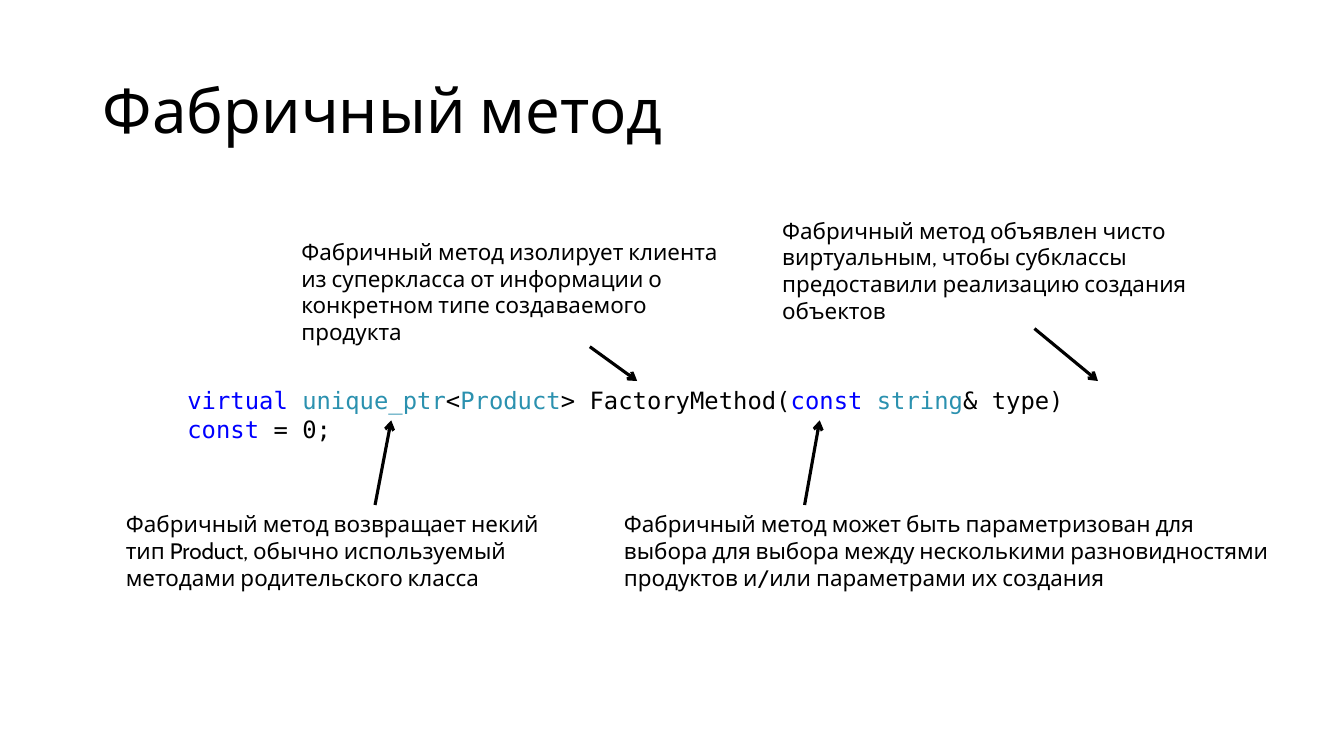
"""Builds a slide that explains the signature of a factory method."""
from dataclasses import dataclass

from lxml.etree import SubElement
from pptx import Presentation
from pptx.dml.color import RGBColor
from pptx.enum.shapes import MSO_CONNECTOR
from pptx.enum.text import MSO_ANCHOR, MSO_AUTO_SIZE
from pptx.oxml.ns import qn
from pptx.util import Inches, Pt

COLORS = {"text": "000000", "keyword": "0000FF", "type": "2B91AF"}
SANS = "Cabin"
MONO = "DejaVu Sans Mono"
Point = tuple[float, float]
Box = tuple[float, float, float, float]
Runs = list[tuple[str, str]]


@dataclass(frozen=True)
class Note:
    """A remark and the arrow that leads from it to the code."""
    text: str
    box: Box
    start: Point
    end: Point


CODE: Runs = [
    ("virtual ", "keyword"),
    ("unique_ptr", "type"),
    ("<", "text"),
    ("Product", "type"),
    ("> FactoryMethod(", "text"),
    ("const ", "keyword"),
    ("string", "type"),
    ("& type) ", "text"),
    ("const", "keyword"),
    (" = 0;", "text"),
]

NOTES = [
    Note("Фабричный метод возвращает некий тип Product, обычно используемый "
         "методами родительского класса",
         (1.15, 5.01, 4.39, 0.91), (3.72, 5.01), (3.88, 4.17)),
    Note("Фабричный метод изолирует клиента из суперкласса от информации "
         "о конкретном типе создаваемого продукта",
         (2.89, 2.31, 4.39, 0.91), (5.85, 3.44), (6.32, 3.78)),
    Note("Фабричный метод может быть параметризован для выбора для выбора "
         "между несколькими разновидностями продуктов и/или параметрами "
         "их создания",
         (6.09, 5.01, 6.69, 0.91), (7.98, 5.01), (8.13, 4.17)),
    Note("Фабричный метод объявлен чисто виртуальным, чтобы субклассы "
         "предоставили реализацию создания объектов",
         (7.66, 2.1, 5.12, 0.91), (10.26, 3.26), (10.89, 3.78)),
]


def add_text(shapes, text: str | Runs, box: Box, *, size: float = 16,
             font: str = SANS, anchor: MSO_ANCHOR = MSO_ANCHOR.TOP,
             grow: bool = True, spacing: float = 1.0) -> None:
    """Add a wrapped text box holding plain text or coloured runs."""
    frame = shapes.add_textbox(*map(Inches, box)).text_frame
    frame.word_wrap = True
    frame.vertical_anchor = anchor
    frame.auto_size = (MSO_AUTO_SIZE.SHAPE_TO_FIT_TEXT if grow
                       else MSO_AUTO_SIZE.NONE)
    line = frame.paragraphs[0]
    line.line_spacing = spacing
    for part, color in [(text, "text")] if isinstance(text, str) else text:
        run = line.add_run()
        run.text = part
        run.font.size = Pt(size)
        run.font.name = font
        run.font.color.rgb = RGBColor.from_string(COLORS[color])


def add_arrow(shapes, start: Point, end: Point) -> None:
    """Draw a straight arrow with an open head at its end."""
    arrow = shapes.add_connector(MSO_CONNECTOR.STRAIGHT,
                                 *map(Inches, start + end))
    arrow.line.width = Pt(2.25)
    arrow.line.color.rgb = RGBColor.from_string(COLORS["text"])
    SubElement(arrow.line._get_or_add_ln(), qn("a:tailEnd"), type="arrow")
    SubElement(arrow._element.spPr, qn("a:effectLst"))


def add_note(shapes, note: Note) -> None:
    """Group a remark with its arrow."""
    group = shapes.add_group_shape()
    add_text(group.shapes, note.text, note.box)
    add_arrow(group.shapes, note.start, note.end)


def main() -> None:
    """Build and save the slide."""
    deck = Presentation()
    deck.slide_width = Inches(13.33)
    deck.slide_height = Inches(7.5)
    shapes = deck.slides.add_slide(deck.slide_layouts[6]).shapes
    add_text(shapes, "Фабричный метод", (0.92, 0.4, 11.5, 1.45), size=44,
             anchor=MSO_ANCHOR.MIDDLE, grow=False, spacing=0.9)
    add_text(shapes, CODE, (1.76, 3.78, 9.69, 0.39), size=17, font=MONO)
    for note in NOTES:
        add_note(shapes, note)
    deck.save("out.pptx")


if __name__ == "__main__":
    main()
